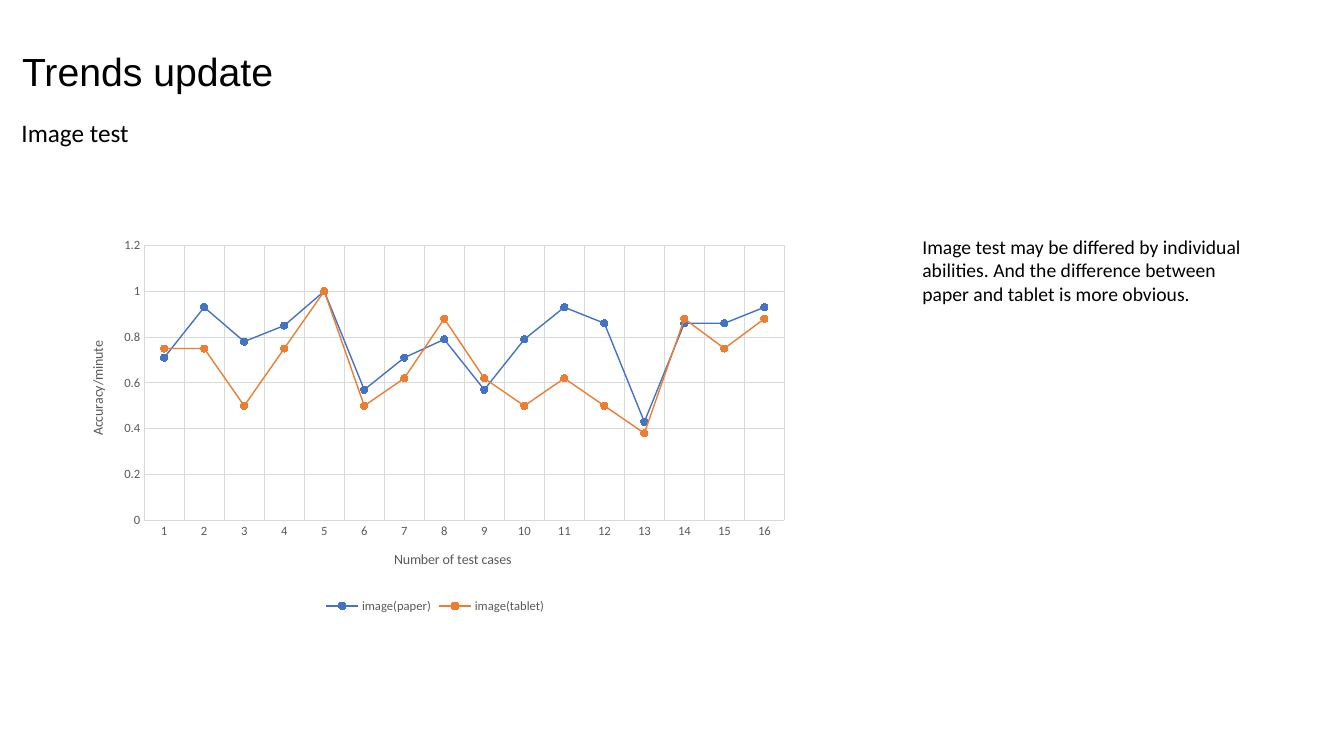
from lxml.etree import SubElement
from pptx import Presentation
from pptx.chart.data import CategoryChartData
from pptx.dml.color import RGBColor
from pptx.enum.chart import XL_CHART_TYPE, XL_LEGEND_POSITION, XL_MARKER_STYLE, XL_TICK_MARK
from pptx.enum.text import MSO_ANCHOR, MSO_AUTO_SIZE, PP_ALIGN
from pptx.oxml.ns import qn
from pptx.util import Pt

PX = 9525
BLACK = RGBColor(0x00, 0x00, 0x00)
WHITE = RGBColor(0xFF, 0xFF, 0xFF)
GREY = RGBColor(0x59, 0x59, 0x59)
LIGHT_GREY = RGBColor(0xD9, 0xD9, 0xD9)
BLUE = RGBColor(0x44, 0x72, 0xC4)
ORANGE = RGBColor(0xED, 0x7D, 0x31)

SERIES = [
    ("image(paper)", BLUE, (0.71, 0.93, 0.78, 0.85, 1, 0.57, 0.71, 0.79,
                            0.57, 0.79, 0.93, 0.86, 0.43, 0.86, 0.86, 0.93)),
    ("image(tablet)", ORANGE, (0.75, 0.75, 0.5, 0.75, 1, 0.5, 0.62, 0.88,
                               0.62, 0.5, 0.62, 0.5, 0.38, 0.88, 0.75, 0.88)),
]


def emu(box):
    return [length * PX for length in box]


def set_attributes(target, values):
    for name, value in values.items():
        setattr(target, name, value)


def set_font(font, size, color, name="Calibri"):
    set_attributes(font, {"size": Pt(size), "name": name, "bold": False})
    font.color.rgb = color


def set_line(line, color, width):
    line.color.rgb = color
    line.width = Pt(width)


def set_layout(element, **fractions):
    """Fix a chart part's place as fractions of the chart area."""
    layout = element.find(qn("c:layout"))
    if layout is None:
        layout = SubElement(element, qn("c:layout"))
        element.insert(0, layout)
    manual = SubElement(layout, qn("c:manualLayout"))
    settings = {"xMode": "edge", "yMode": "edge", **fractions}
    if "w" in fractions:
        settings = {"layoutTarget": "inner", **settings}
    for name, value in settings.items():
        SubElement(manual, qn(f"c:{name}")).set("val", str(value))


def write_title(slide, box, text):
    title = slide.shapes.title
    left, top, width, height = emu(box)
    set_attributes(title, {"left": left, "top": top, "width": width, "height": height})
    frame = title.text_frame
    inset = 10 * PX
    set_attributes(frame, {
        "text": text, "word_wrap": True, "auto_size": MSO_AUTO_SIZE.NONE,
        "vertical_anchor": MSO_ANCHOR.TOP, "margin_left": inset,
        "margin_top": inset, "margin_right": inset, "margin_bottom": inset,
    })
    para = frame.paragraphs[0]
    set_attributes(para, {"alignment": PP_ALIGN.LEFT, "line_spacing": 0.9})
    set_font(para.runs[0].font, 28, BLACK, "Arial")


def add_text(slide, box, text, size):
    frame = slide.shapes.add_textbox(*emu(box)).text_frame
    set_attributes(frame, {"text": text, "word_wrap": True})
    set_font(frame.paragraphs[0].runs[0].font, size, BLACK)


def format_axis(axis, title, left, top):
    set_attributes(axis, {
        "has_major_gridlines": True,
        "major_tick_mark": XL_TICK_MARK.NONE,
        "minor_tick_mark": XL_TICK_MARK.NONE,
    })
    set_line(axis.major_gridlines.format.line, LIGHT_GREY, 0.75)
    set_font(axis.tick_labels.font, 9, GREY)
    frame = axis.axis_title.text_frame
    frame.text = title
    set_font(frame.paragraphs[0].runs[0].font, 10, GREY)
    set_layout(axis.axis_title._element, x=left, y=top)


def add_accuracy_chart(slide, box):
    data = CategoryChartData()
    data.categories = [str(case) for case in range(1, 17)]
    for name, _, values in SERIES:
        data.add_series(name, values)
    chart = slide.shapes.add_chart(XL_CHART_TYPE.LINE_MARKERS, *emu(box), data).chart
    set_attributes(chart, {"has_title": False, "has_legend": True})
    set_font(chart.font, 10, BLACK)
    set_attributes(chart.legend, {
        "position": XL_LEGEND_POSITION.BOTTOM, "include_in_layout": False,
    })
    set_font(chart.legend.font, 9, GREY)

    format_axis(chart.category_axis, "Number of test cases", 0.44, 0.82)
    set_line(chart.category_axis.format.line, LIGHT_GREY, 0.75)
    format_axis(chart.value_axis, "Accuracy/minute", 0.02, 0.28)
    chart.value_axis.format.line.fill.background()
    set_attributes(chart.value_axis, {
        "minimum_scale": 0, "maximum_scale": 1.2, "major_unit": 0.2,
    })
    plot_area = chart._chartSpace.chart.plotArea
    set_layout(plot_area, x=0.1, y=0.04, w=0.88, h=0.71)

    plot = chart.plots[0]
    plot.vary_by_categories = False
    for series, (_, color, _) in zip(plot.series, SERIES):
        series.smooth = False
        set_line(series.format.line, color, 1)
        set_attributes(series.marker, {"style": XL_MARKER_STYLE.CIRCLE, "size": 5})
        marker_format = series.marker.format
        marker_format.fill.solid()
        marker_format.fill.fore_color.rgb = color
        set_line(marker_format.line, color, 0.75)


def build_trends_slide(deck):
    slide = deck.slides.add_slide(deck.slide_layouts[5])
    slide.background.fill.solid()
    slide.background.fill.fore_color.rgb = WHITE
    write_title(slide, (11, 40, 742, 66), "Trends update")
    add_text(slide, (11, 107, 438, 126), "Image test", 18)
    add_text(slide, (869, 219, 346, 78),
             "Image test may be differed by individual abilities. "
             "And the difference between paper and tablet is more obvious.", 14)
    add_accuracy_chart(slide, (68, 219, 693, 369))


def main():
    deck = Presentation()
    set_attributes(deck, {"slide_width": 1280 * PX, "slide_height": 720 * PX})
    build_trends_slide(deck)
    deck.save("out.pptx")


if __name__ == "__main__":
    main()
